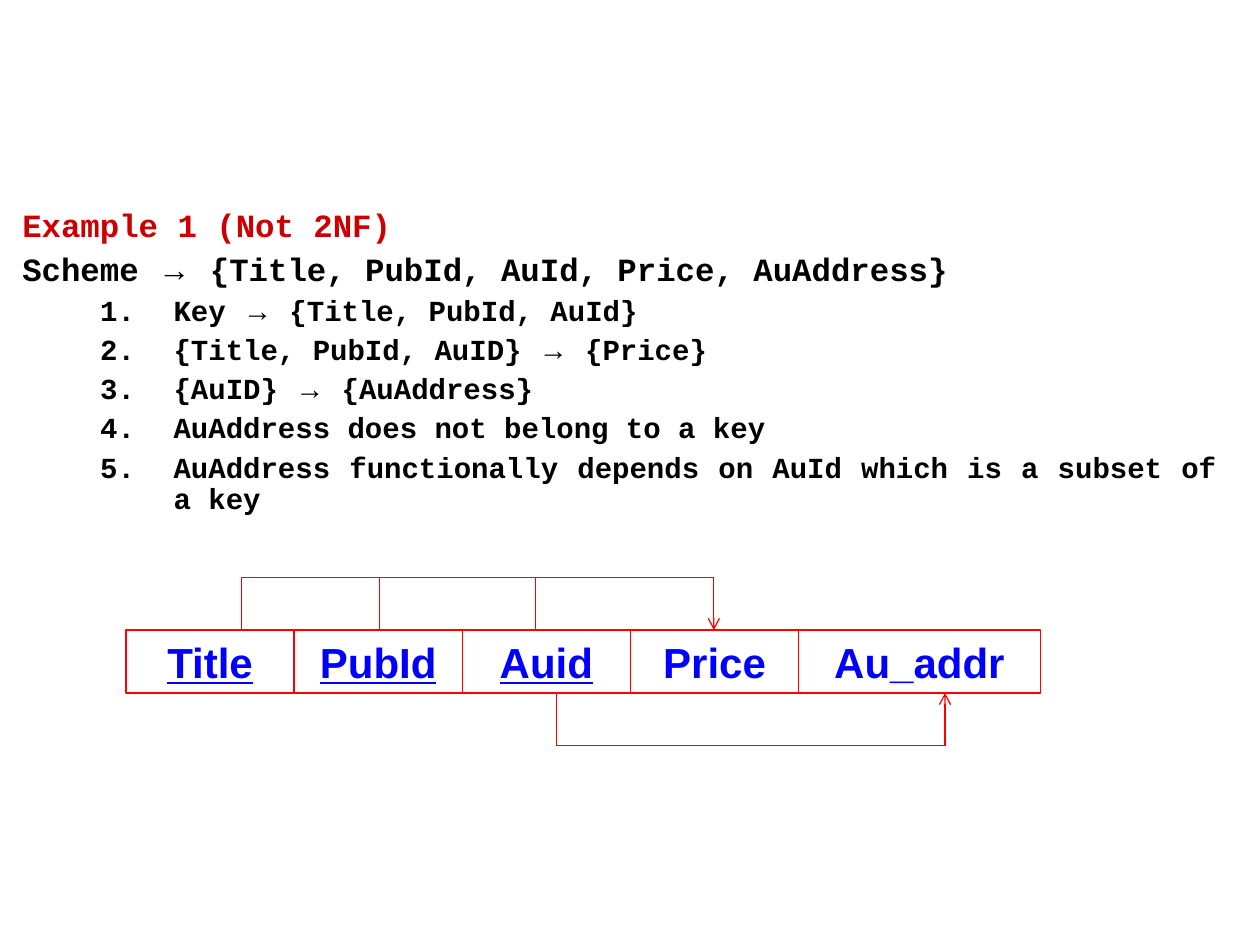
"""Build a slide showing a relation that is not in second normal form."""
from dataclasses import dataclass

from lxml.etree import SubElement
from pptx import Presentation
from pptx.dml.color import RGBColor
from pptx.enum.shapes import MSO_CONNECTOR, MSO_SHAPE
from pptx.enum.text import MSO_ANCHOR, PP_ALIGN
from pptx.oxml.ns import qn
from pptx.util import Cm, Pt


@dataclass(frozen=True)
class Theme:
    heading: RGBColor = RGBColor(0xCC, 0x00, 0x00)
    body: RGBColor = RGBColor(0x00, 0x00, 0x00)
    attribute: RGBColor = RGBColor(0x00, 0x00, 0xFF)
    line: RGBColor = RGBColor(0xFF, 0x00, 0x00)
    body_font: str = "Courier New"
    label_font: str = "Arial"
    lead_size: float = 18.5
    item_size: float = 16.6
    label_size: float = 24
    line_width: float = 0.75


class SlideBuilder:
    def __init__(self, slide, theme):
        self.slide = slide
        self.theme = theme

    def style_run(self, run, font, size, color):
        run.font.name = font
        run.font.size = Pt(size)
        run.font.bold = True
        run.font.color.rgb = color

    def text_box(self, left, top, width, height, top_inset):
        box = self.slide.shapes.add_textbox(Cm(left), Cm(top), Cm(width), Cm(height))
        text_frame = box.text_frame
        text_frame.word_wrap = True
        text_frame.margin_top = Cm(top_inset)
        return text_frame

    def paragraph(self, paragraph, text, color, numbered=False):
        theme = self.theme
        paragraph.alignment = PP_ALIGN.JUSTIFY
        paragraph.line_spacing = 0.9
        paragraph.space_before = Pt(4.5 if numbered else 5)
        margin, hanging = (3.05, 1.48) if numbered else (1.7, 1.7)
        properties = paragraph._p.get_or_add_pPr()
        properties.set("marL", str(Cm(margin)))
        properties.set("indent", str(-Cm(hanging)))
        if numbered:
            paragraph.level = 1
            SubElement(properties, qn("a:buAutoNum"), type="arabicPeriod")
        size = theme.item_size if numbered else theme.lead_size
        for part in filter(None, text.partition("→")):
            run = paragraph.add_run()
            run.text = part
            font = theme.label_font if part == "→" else theme.body_font
            self.style_run(run, font, size, color)

    def attribute(self, text, left, top, width, height, is_key):
        theme = self.theme
        shape = self.slide.shapes.add_shape(
            MSO_SHAPE.RECTANGLE, Cm(left), Cm(top), Cm(width), Cm(height))
        shape.shadow.inherit = False
        shape.fill.background()
        shape.line.color.rgb = theme.line
        shape.line.width = Pt(theme.line_width)
        text_frame = shape.text_frame
        text_frame.text = text
        text_frame.vertical_anchor = MSO_ANCHOR.MIDDLE
        paragraph = text_frame.paragraphs[0]
        paragraph.alignment = PP_ALIGN.CENTER
        paragraph.space_before = Pt(6)
        run = paragraph.runs[0]
        self.style_run(run, theme.label_font, theme.label_size, theme.attribute)
        if is_key:
            run.font.underline = True

    def line(self, start, end, arrow=False):
        connector = self.slide.shapes.add_connector(
            MSO_CONNECTOR.STRAIGHT, *map(Cm, start + end))
        connector.line.color.rgb = self.theme.line
        connector.line.width = Pt(self.theme.line_width)
        if arrow:
            SubElement(connector.line._get_or_add_ln(), qn("a:tailEnd"), type="arrow")
        SubElement(connector._element.spPr, qn("a:effectLst"))

    def dependency(self, sources, target, edge, rail):
        self.line((sources[0], rail), (target, rail))
        for source in sources:
            self.line((source, edge), (source, rail))
        self.line((target, rail), (target, edge), arrow=True)


LEADS = [
    ("Example 1 (Not 2NF)", Theme.heading),
    ("Scheme → {Title, PubId, AuId, Price, AuAddress}", Theme.body),
]
ITEMS = [
    "Key → {Title, PubId, AuId}",
    "{Title, PubId, AuID} → {Price}",
    "{AuID} → {AuAddress}",
    "AuAddress does not belong to a key",
    "AuAddress functionally depends on AuId which is a subset of a key",
]
ATTRIBUTES = ["Title", "PubId", "Auid", "Price", "Au_addr"]
KEY = {"Title", "PubId", "Auid"}
ROW_LEFT, ROW_TOP, ROW_HEIGHT = 2.54, 12.7, 1.27
CELL_WIDTH, LAST_WIDTH = 3.39, 4.87
RAIL_GAP = 1.06


def main():
    presentation = Presentation()
    presentation.slide_width, presentation.slide_height = Cm(25.4), Cm(19.05)
    slide = presentation.slides.add_slide(presentation.slide_layouts[6])
    builder = SlideBuilder(slide, Theme())

    text_frame = builder.text_box(0.2, 3.18, 24.56, 7.82, top_inset=1.04)
    rows = [(text, color, False) for text, color in LEADS]
    rows += [(text, Theme.body, True) for text in ITEMS]
    for index, (text, color, numbered) in enumerate(rows):
        paragraph = text_frame.add_paragraph() if index else text_frame.paragraphs[0]
        builder.paragraph(paragraph, text, color, numbered)

    for index, name in enumerate(ATTRIBUTES):
        width = LAST_WIDTH if name == ATTRIBUTES[-1] else CELL_WIDTH
        builder.attribute(name, ROW_LEFT + index * CELL_WIDTH, ROW_TOP,
                          width, ROW_HEIGHT, name in KEY)

    row_bottom = ROW_TOP + ROW_HEIGHT
    builder.dependency([4.87, 7.65, 10.8], 14.39, ROW_TOP, ROW_TOP - RAIL_GAP)
    builder.dependency([11.22], 19.05, row_bottom, row_bottom + RAIL_GAP)

    presentation.save("out.pptx")


if __name__ == "__main__":
    main()
